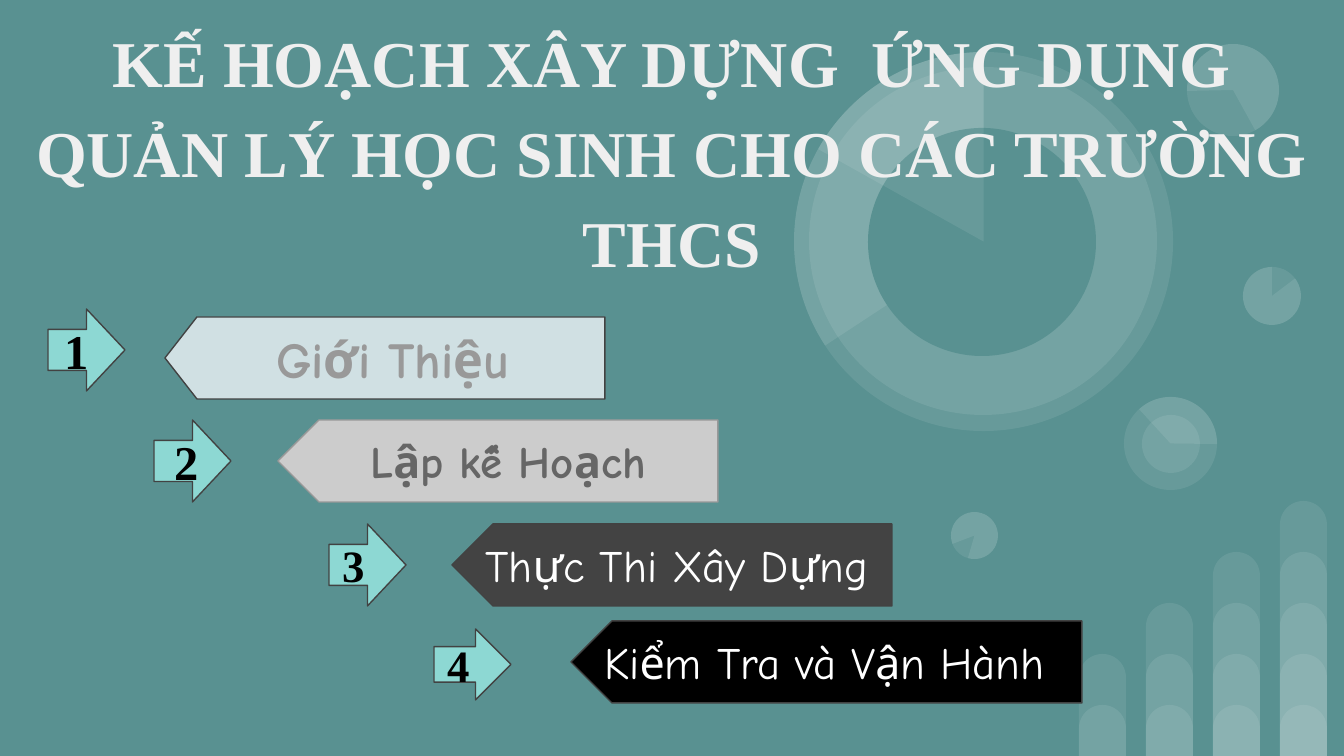
from dataclasses import dataclass

from pptx import Presentation
from pptx.dml.color import RGBColor as Rgb
from pptx.enum.shapes import MSO_SHAPE as Geo
from pptx.enum.text import MSO_ANCHOR as Anchor, PP_ALIGN as Align
from pptx.oxml.ns import qn
from pptx.util import Pt

WIDE, HIGH = 1344, 756
SCALE = 914400 / 134.4


@dataclass(frozen=True)
class Theme:
    back: str = "599191"
    veil: str = "FFFFFF"
    alpha: int = 9
    title: str = "EFEFEF"
    arrow: str = "8DD8D3"
    edge: str = "424242"
    ink: str = "000000"
    serif: str = "Times New Roman"
    comic: str = "Comic Neue"
    head: int = 35
    large: int = 27
    mid: int = 26
    base: int = 24
    rule: float = 0.75
    inset: int = 13


def emu(px):
    return round(px * SCALE)


class Deck:
    def __init__(self, theme):
        self.theme = theme
        self.prs = Presentation()
        self.prs.slide_width, self.prs.slide_height = emu(WIDE), emu(HIGH)
        self.slide = self.prs.slides.add_slide(self.prs.slide_layouts[5])
        fill = self.slide.background.fill
        fill.solid()
        fill.fore_color.rgb = Rgb.from_string(theme.back)

    def shape(self, geo, box, color, edge=None, adj=()):
        item = self.slide.shapes.add_shape(geo, *map(emu, box))
        item.shadow.inherit = False
        item.fill.solid()
        item.fill.fore_color.rgb = Rgb.from_string(color)
        if edge:
            item.line.color.rgb = Rgb.from_string(edge)
            item.line.width = Pt(self.theme.rule)
        else:
            item.line.fill.background()
        for i, value in enumerate(adj):
            item.adjustments[i] = value
        return item

    def veil(self, geo, box, adj=()):
        """Add a see-through white shape."""
        item = self.shape(geo, box, self.theme.veil, adj=adj)
        color = item._element.spPr.find(qn("a:solidFill"))[0]
        alpha = color.makeelement(qn("a:alpha"), {"val": str(self.theme.alpha * 1000)})
        color.append(alpha)
        return item

    def disc(self, x, y, size, turn=0):
        self.veil(Geo.OVAL, (x, y, size, size)).rotation = turn

    def pie(self, x, y, size, start, end=270, turn=0):
        # Angles are degrees; an adjustment of 0.6 is one degree
        adj = (start * 0.6, end * 0.6)
        self.veil(Geo.PIE, (x, y, size, size), adj).rotation = turn

    def text(self, item, words, font, size, color, bold=False, align=Align.CENTER):
        frame = item.text_frame
        frame.word_wrap = True
        frame.vertical_anchor = Anchor.MIDDLE
        pad = emu(self.theme.inset)
        frame.margin_left = frame.margin_right = pad
        frame.margin_top = frame.margin_bottom = pad
        para = frame.paragraphs[0]
        para.alignment = align
        run = para.add_run()
        run.text = words
        run.font.name, run.font.size, run.font.bold = font, Pt(size), bold
        run.font.color.rgb = Rgb.from_string(color)
        return para

    def title(self, words, box):
        item = self.slide.shapes.title
        item.left, item.top, item.width, item.height = map(emu, box)
        para = self.text(item, words, self.theme.serif, self.theme.head,
                         self.theme.title, True)
        para.line_spacing, para.space_before = 1.15, Pt(12)
        # Bring the title in front of the backdrop
        self.slide.shapes._spTree.append(item._element)

    def label(self, words, box, fill, edge, color, size, bold, align, tip=0.5):
        item = self.shape(Geo.PENTAGON, box, fill, edge, (tip,))
        item._element.spPr.get_or_add_xfrm().set("flipH", "1")
        self.text(item, words, self.theme.comic, size, color, bold, align)

    def arrow(self, words, box, size, align):
        look = self.theme
        item = self.shape(Geo.RIGHT_ARROW, box, look.arrow, look.edge, (0.5, 0.5))
        self.text(item, words, look.serif, size, look.ink, True, align)


def main():
    look = Theme()
    deck = Deck(look)

    # Bars: each column stacks one more layer than the last
    step = 51
    for col in range(4):
        for row in range(1, col + 3):
            box = (1079 + 67 * col, HIGH - step * row, 47, step * row)
            deck.veil(Geo.ROUND_2_SAME_RECTANGLE, box, (0.5, 0))

    # Large ring
    ring = (794, 52, 379)
    deck.disc(*ring)
    deck.disc(809, 67, 348)
    deck.pie(*ring, 146.7)
    deck.shape(Geo.OVAL, (868, 128, 228, 228), look.back)
    deck.pie(*ring, 209.2)

    # Small pies: place, start, end, turn
    for spot, start, end, turn in (
        ((1187, 44, 92), 322.9, 205.2, 215.9),
        ((1243, 267, 58), 322.9, 270, 0),
        ((1124, 397, 93), 137.4, 270.8, 90),
        ((951, 512, 47), 322.9, 270, 196.2),
    ):
        deck.disc(*spot, turn)
        deck.pie(*spot, start, end, turn)
    deck.disc(1142, 415, 58)

    # Title
    deck.title("KẾ HOẠCH XÂY DỰNG  ỨNG DỤNG QUẢN LÝ HỌC SINH CHO CÁC TRƯỜNG THCS",
               (0, -38, WIDE, 367))

    # Labels
    mid, left, right = Align.CENTER, Align.LEFT, Align.RIGHT
    wide, tall = 440, 82
    deck.label("Giới Thiệu", (165, 317, wide, tall), "D0E0E3", look.edge,
               "999999", look.large, True, mid, 0.39)
    deck.label("Lập kế Hoạch", (278, 420, wide, tall), "CCCCCC", "999999",
               "666666", look.base, True, mid)
    deck.label("Thực Thi Xây Dựng", (452, 524, wide, tall), "434343", look.edge,
               "FFFFFF", look.base, False, left)
    deck.label("Kiểm Tra và Vận Hành", (571, 621, 511, tall), "000000", look.edge,
               "FFFFFF", look.base, False, left)

    # Numbered arrows
    for num, (x, y, high, size, align) in enumerate((
        (48, 309, tall, look.mid, mid),
        (154, 420, tall, look.mid, right),
        (329, 524, tall, look.base, left),
        (434, 629, 71, look.base, left),
    ), 1):
        deck.arrow(str(num), (x, y, 77, high), size, align)

    deck.prs.save("out.pptx")


if __name__ == "__main__":
    main()
